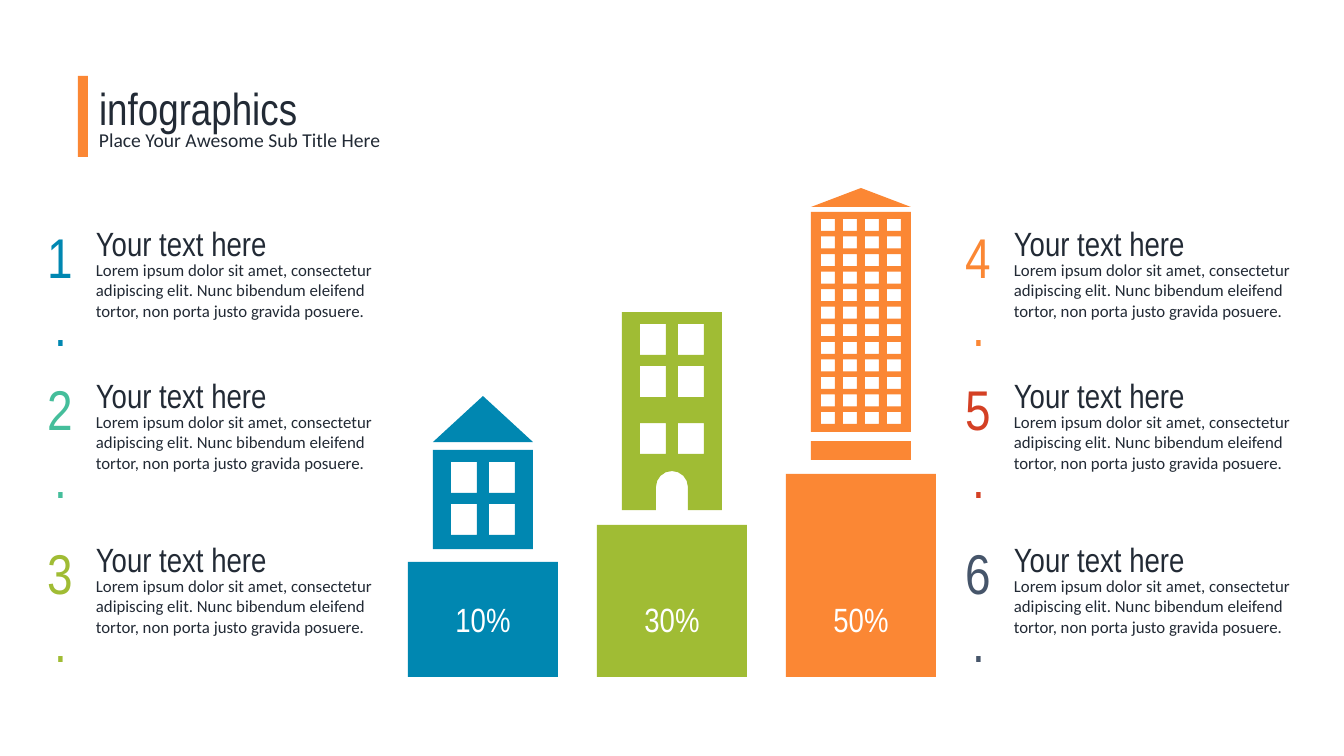
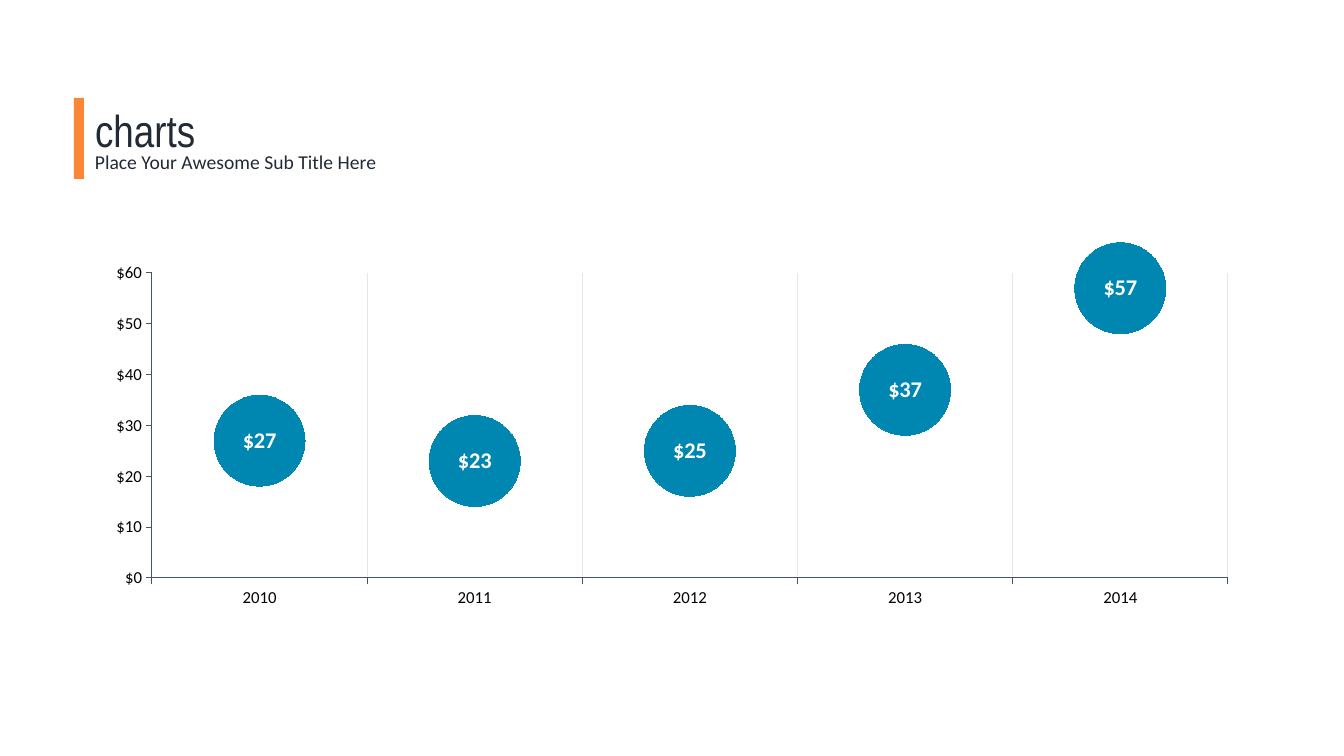
from itertools import product
from math import cos, pi, sin

from lxml.etree import SubElement
from pptx import Presentation
from pptx.chart.data import CategoryChartData
from pptx.dml.color import RGBColor
from pptx.enum.chart import XL_CHART_TYPE, XL_LABEL_POSITION, XL_MARKER_STYLE, XL_TICK_MARK
from pptx.enum.shapes import MSO_SHAPE
from pptx.enum.text import MSO_ANCHOR, MSO_AUTO_SIZE, PP_ALIGN
from pptx.oxml.ns import qn
from pptx.util import Emu, Pt

EMU_PER_PX = 914400 / 100.8
SLIDE_SIZE = (1344, 756)

BLUE, TEAL, GREEN = "0087B1", "45BE9B", "A0BC34"
ORANGE, RED, SLATE = "FB8734", "D44024", "46556A"
INK, WHITE, BLACK, AXIS, GRID = "222A35", "FFFFFF", "000000", "44546A", "E7E6E6"

TITLE = {"name": "Arial Narrow", "size": 32, "color": INK}
SUBTITLE = {"name": "Calibri", "size": 14, "color": INK}
HEADING = {"name": "Arial Narrow", "size": 24, "color": INK}
BODY = {"name": "Calibri", "size": 12, "color": INK}
NUMBER = {"name": "Arial Narrow", "size": 40}
PERCENT = {"name": "Arial Narrow", "size": 24, "color": WHITE}
AXIS_TEXT = {"name": "Calibri", "size": 12, "color": BLACK}
LABEL_TEXT = {"name": "Calibri", "size": 16, "color": WHITE, "bold": True}

SUBTITLE_TEXT = "Place Your Awesome Sub Title Here"
ITEM_HEADING = "Your text here"
ITEM_BODY = ("Lorem ipsum dolor sit amet, consectetur adipiscing elit. "
             "Nunc bibendum eleifend tortor, non porta justo gravida posuere.")
ITEM_COLORS = [BLUE, TEAL, GREEN, ORANGE, RED, SLATE]
ITEM_LEFTS = [34, 952]
ITEM_TOPS = [218, 370, 534]

PEDESTALS = [("10%", BLUE, 562), ("30%", GREEN, 525), ("50%", ORANGE, 474)]
PEDESTAL_LEFT, PEDESTAL_STEP, PEDESTAL_WIDTH, PEDESTAL_BOTTOM = 408, 189, 150, 677
BUILDING_INSET, BUILDING_WIDTH, FLOOR_HEIGHT = 25, 100, 99
# First offset, last offset, count and size of the windows along each axis
FLOOR_WINDOWS = {"across": (18, 56, 2, 26), "down": (12, 54, 2, 31)}
UPPER_WINDOWS = {"across": (18, 56, 2, 26), "down": (12, 12, 1, 31)}
TOWER_WINDOWS = {"across": (10, 76, 4, 14), "down": (7, 200, 12, 12)}
DOOR_RADIUS, DOOR_SPRING = 16, 76

PRICES = {"2010": 27, "2011": 23, "2012": 25, "2013": 37, "2014": 57}
PRICE_FORMAT = "[$$-C09]#,##0"
CHART_BOX = (115, 234, 1114, 375)
PLOT_BOX = (37, 39, 1076, 305)


def px(value):
    return Emu(round(value * EMU_PER_PX))


def rgb(value):
    return RGBColor.from_string(value)


def style_font(font, style):
    for key, value in style.items():
        if key == "color":
            font.color.rgb = rgb(value)
        else:
            setattr(font, key, Pt(value) if key == "size" else value)


def write(shape, text, style, align=PP_ALIGN.LEFT):
    frame = shape.text_frame
    settings = {"word_wrap": True, "auto_size": MSO_AUTO_SIZE.NONE,
                "vertical_anchor": MSO_ANCHOR.TOP}
    for key, value in settings.items():
        setattr(frame, key, value)
    paragraph = frame.paragraphs[0]
    paragraph.alignment = align
    run = paragraph.add_run()
    run.text = text
    style_font(run.font, style)


def add_text(slide, box, text, style, align=PP_ALIGN.LEFT):
    write(slide.shapes.add_textbox(*map(px, box)), text, style, align)


def paint(shape, color):
    shape.shadow.inherit = False
    shape.fill.solid()
    shape.fill.fore_color.rgb = rgb(color)
    shape.line.fill.background()


def add_block(slide, box, color, kind=MSO_SHAPE.RECTANGLE):
    paint(slide.shapes.add_shape(kind, *map(px, box)), color)


def add_titled_slide(presentation, title, left, top):
    """Add a slide with the accent bar, title and subtitle."""
    slide = presentation.slides.add_slide(presentation.slide_layouts[5])
    shape = slide.shapes.title
    box = (left + 11, top, 434, 64)
    for key, value in zip(("left", "top", "width", "height"), box):
        setattr(shape, key, px(value))
    write(shape, title, TITLE)
    add_text(slide, (left + 11, top + 47, 434, 34), SUBTITLE_TEXT, SUBTITLE)
    add_block(slide, (left, top, 10, 81), ORANGE)
    return slide


def spread(first, last, count):
    step = (last - first) / max(count - 1, 1)
    return [first + step * index for index in range(count)]


def window_outlines(windows):
    *columns, width = windows["across"]
    *rows, height = windows["down"]
    return [[(x, y), (x, y + height), (x + width, y + height), (x + width, y)]
            for y, x in product(spread(*rows), spread(*columns))]


def door_outline():
    """Trace the arched doorway from its lower right to its lower left."""
    center = BUILDING_WIDTH / 2
    arch = [(center + DOOR_RADIUS * cos(step * pi / 8),
             DOOR_SPRING - DOOR_RADIUS * sin(step * pi / 8)) for step in range(9)]
    return [(center + DOOR_RADIUS, FLOOR_HEIGHT), *arch,
            (center - DOOR_RADIUS, FLOOR_HEIGHT)]


def add_facade(slide, left, top, height, color, windows, door=()):
    """Draw a wall with its windows and door cut out."""
    wall = [(0, 0), (BUILDING_WIDTH, 0), (BUILDING_WIDTH, height), *door, (0, height)]
    builder = None
    for outline in [*window_outlines(windows), wall]:
        start, *others = [(px(left + x), px(top + y)) for x, y in outline]
        if builder is None:
            builder = slide.shapes.build_freeform(*start)
        else:
            builder.move_to(*start)
        builder.add_line_segments(others, close=True)
    paint(builder.convert_to_shape(), color)


def add_buildings(slide):
    lefts = [PEDESTAL_LEFT + PEDESTAL_STEP * index for index in range(len(PEDESTALS))]
    for left, (percent, color, top) in zip(lefts, PEDESTALS):
        add_block(slide, (left, top, PEDESTAL_WIDTH, PEDESTAL_BOTTOM - top), color)
        add_text(slide, (left, 594, PEDESTAL_WIDTH, 50), percent, PERCENT, PP_ALIGN.CENTER)

    house, office, tower = [left + BUILDING_INSET for left in lefts]
    roof = MSO_SHAPE.ISOSCELES_TRIANGLE
    add_block(slide, (house, 396, BUILDING_WIDTH, 46), BLUE, roof)
    add_facade(slide, house, 450, FLOOR_HEIGHT, BLUE, FLOOR_WINDOWS)
    add_facade(slide, office, 312, FLOOR_HEIGHT, GREEN, FLOOR_WINDOWS)
    add_facade(slide, office, 312 + FLOOR_HEIGHT, FLOOR_HEIGHT, GREEN,
               UPPER_WINDOWS, door_outline())
    add_block(slide, (tower, 188, BUILDING_WIDTH, 19), ORANGE, roof)
    add_facade(slide, tower, 212, 220, ORANGE, TOWER_WINDOWS)
    add_block(slide, (tower, 441, BUILDING_WIDTH, 19), ORANGE)


def add_items(slide):
    places = product(ITEM_LEFTS, ITEM_TOPS)
    for number, ((left, top), color) in enumerate(zip(places, ITEM_COLORS), 1):
        add_text(slide, (left + 52, top + 37, 320, 72), ITEM_BODY, BODY)
        add_text(slide, (left + 52, top, 320, 50), ITEM_HEADING, HEADING)
        add_text(slide, (left, top, 53, 78), f"{number}.", {**NUMBER, "color": color},
                 PP_ALIGN.CENTER)


def style_line(line, color):
    line.color.rgb = rgb(color)
    line.width = Pt(0.75)


def place_plot(chart):
    """Fix the inner plot area as fractions of the chart."""
    plot_area = chart.plots[0]._element.getparent()
    layout = plot_area.find(qn("c:layout"))
    if layout is None:
        layout = SubElement(plot_area, qn("c:layout"))
        plot_area.insert(0, layout)
    manual = SubElement(layout, qn("c:manualLayout"))
    width, height = CHART_BOX[2:]
    settings = {"layoutTarget": "inner", "xMode": "edge", "yMode": "edge"}
    settings |= {key: round(part / whole, 4) for key, part, whole
                 in zip("xywh", PLOT_BOX, (width, height, width, height))}
    for key, value in settings.items():
        SubElement(manual, qn(f"c:{key}")).set("val", str(value))


def add_price_chart(slide):
    data = CategoryChartData(number_format=PRICE_FORMAT)
    data.categories = list(PRICES)
    data.add_series("Series 1", list(PRICES.values()))
    chart = slide.shapes.add_chart(
        XL_CHART_TYPE.LINE_MARKERS, *map(px, CHART_BOX), data).chart
    chart.has_legend = chart.has_title = False
    style_font(chart.font, {**AXIS_TEXT, "size": 18})
    place_plot(chart)

    for axis in (chart.category_axis, chart.value_axis):
        axis.major_tick_mark = XL_TICK_MARK.OUTSIDE
        axis.minor_tick_mark = XL_TICK_MARK.NONE
        style_font(axis.tick_labels.font, AXIS_TEXT)
        style_line(axis.format.line, AXIS)
    chart.category_axis.has_major_gridlines = True
    style_line(chart.category_axis.major_gridlines.format.line, GRID)
    value_axis = chart.value_axis
    scale = {"has_major_gridlines": False, "minimum_scale": 0,
             "maximum_scale": 60, "major_unit": 10}
    for key, value in scale.items():
        setattr(value_axis, key, value)

    plot = chart.plots[0]
    plot.vary_by_categories = False
    series = plot.series[0]
    series.smooth = False
    series.format.line.fill.background()
    marker = series.marker
    marker.style, marker.size = XL_MARKER_STYLE.CIRCLE, 65
    marker.format.fill.solid()
    marker.format.fill.fore_color.rgb = rgb(BLUE)
    marker.format.line.fill.background()
    labels = series.data_labels
    labels.show_value = True
    labels.position = XL_LABEL_POSITION.CENTER
    style_font(labels.font, LABEL_TEXT)
    for numbers in (value_axis.tick_labels, labels):
        numbers.number_format = PRICE_FORMAT
        numbers.number_format_is_linked = False


def main():
    presentation = Presentation()
    presentation.slide_width, presentation.slide_height = map(px, SLIDE_SIZE)
    infographics = add_titled_slide(presentation, "infographics", 78, 76)
    add_buildings(infographics)
    add_items(infographics)
    charts = add_titled_slide(presentation, "charts", 74, 98)
    add_price_chart(charts)
    presentation.save("out.pptx")


if __name__ == "__main__":
    main()
